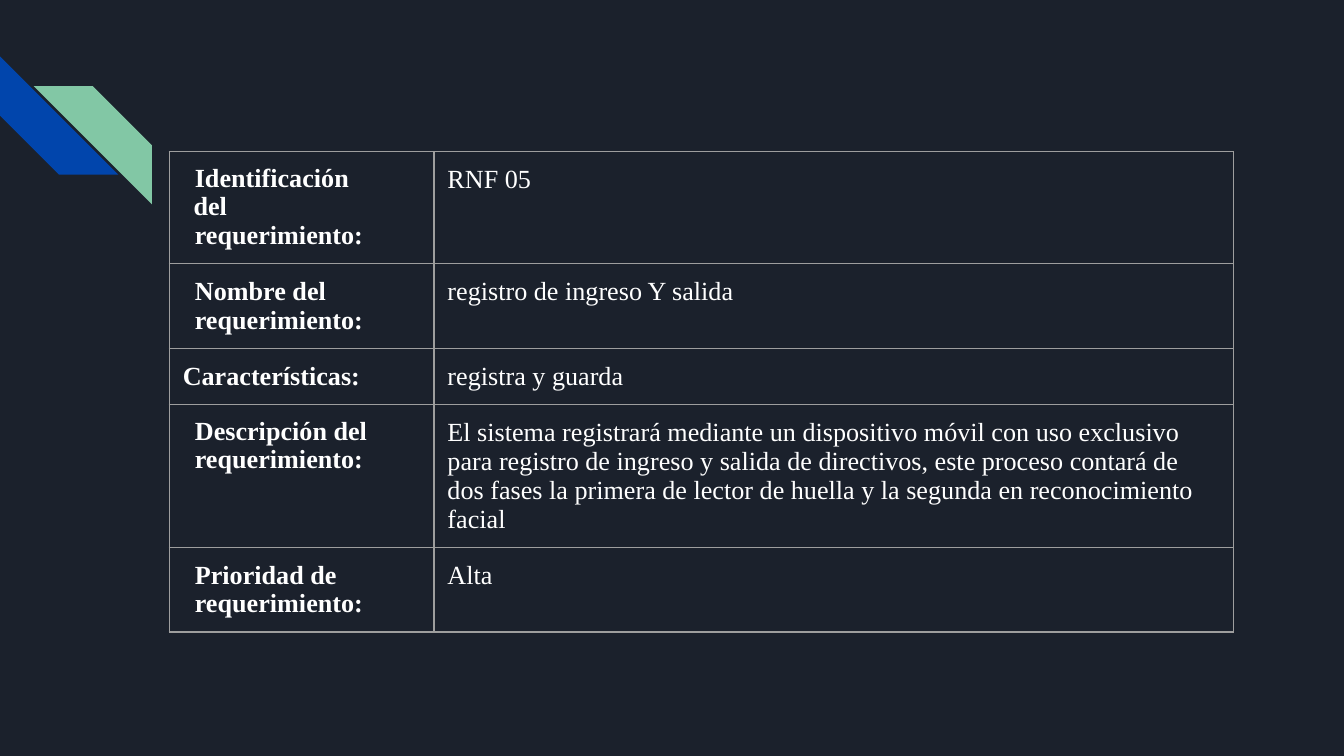
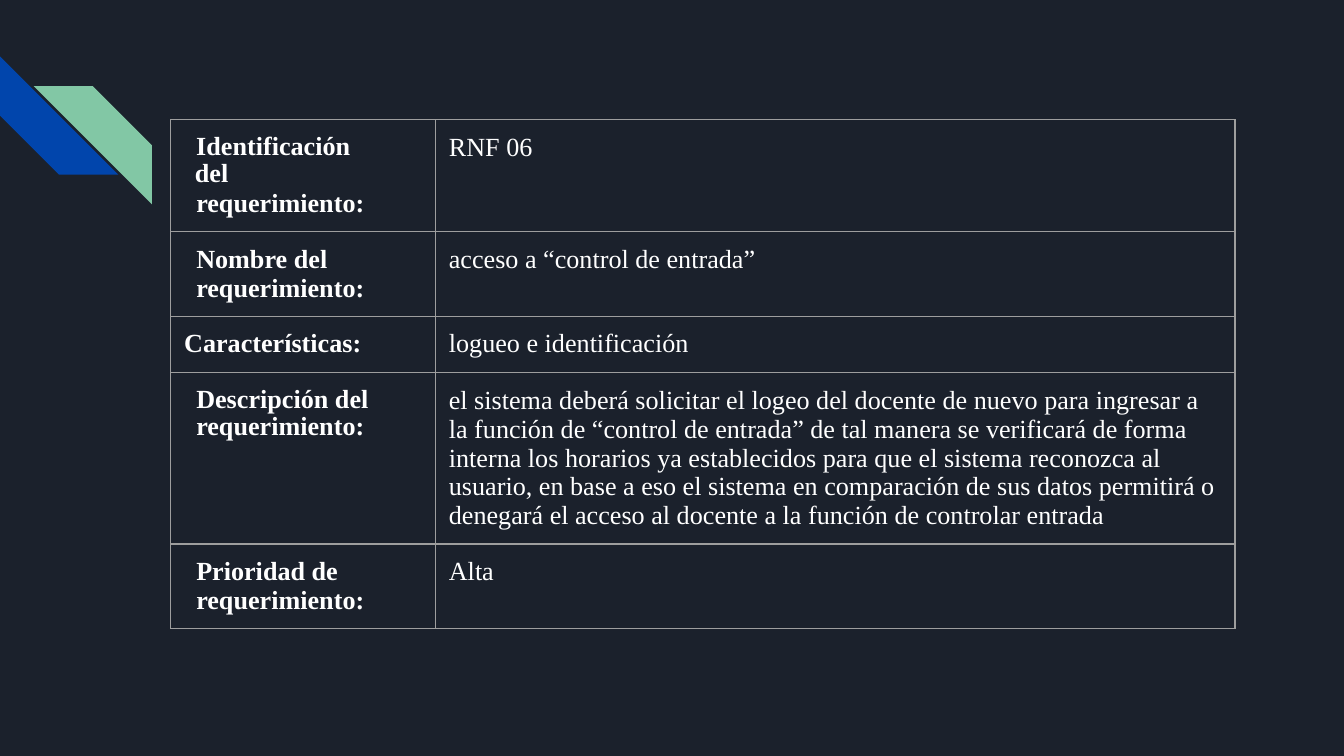
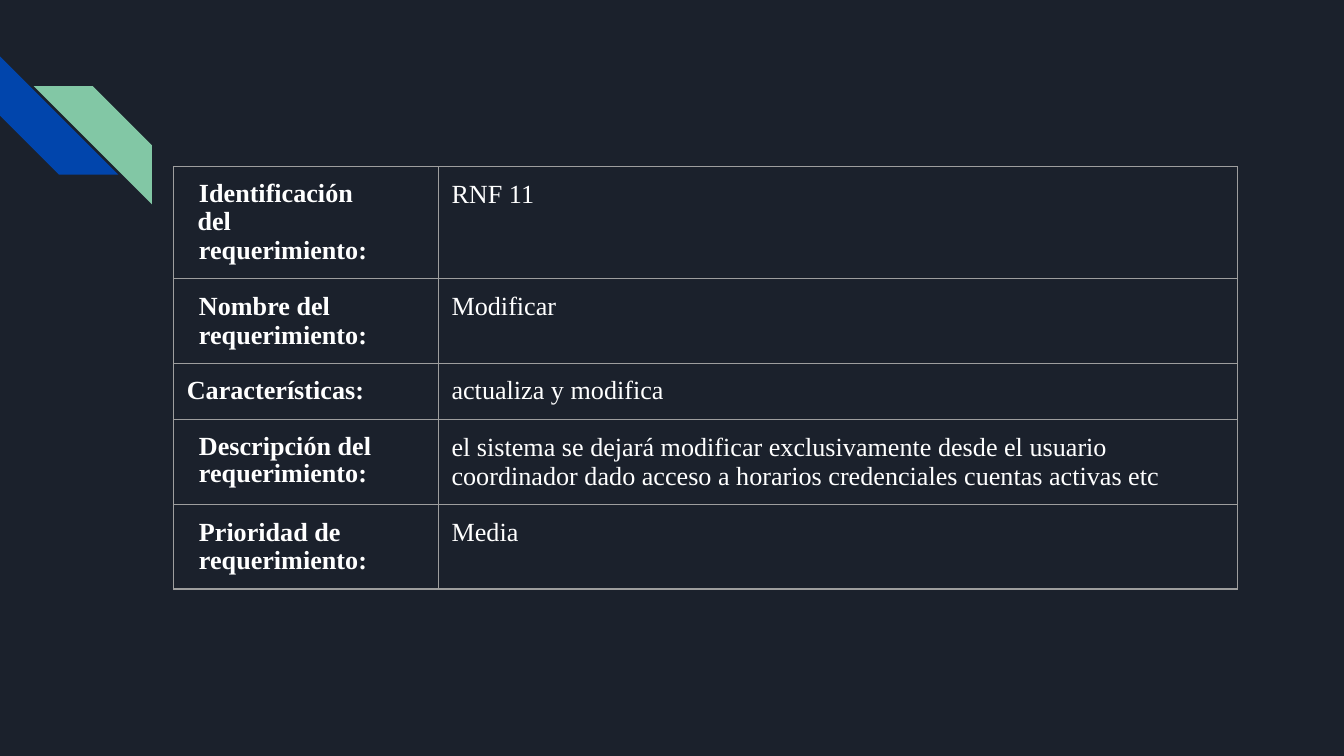
"""Builds three requirement sheets on a dark striped layout."""
from copy import deepcopy
from dataclasses import dataclass

from lxml import etree
from pptx import Presentation
from pptx import util as u
from pptx.dml import color
from pptx.enum import shapes
from pptx.oxml import ns

BACK, BLUE, GREEN = "1B212C", "0145AC", "82C7A5"
WHITE, GREY = "FFFFFF", "9E9E9E"
FONT, SIZE = "Times New Roman", 14
WIDE = u.Inches(10)
HIGH = WIDE * 9 // 16
COLS, ROW, PAD = (1.97, 5.95), 0.42, 0.1
SIDE = 0.88


@dataclass
class Stripe:
    left: float
    top: float
    fill: str
    turn: int = 0
    flip: bool = False


@dataclass
class Para:
    text: str
    left: float = 0.09
    first: float = 0
    lead: float | None = None
    before: float = 0


@dataclass
class Sheet:
    left: float
    top: float
    values: tuple[str, ...]


STRIPES = (
    Stripe(0, 0.42, BLUE, turn=270),
    Stripe(0.25, 0.64, GREEN, flip=True),
)

LABELS = (
    (Para("Identificación\vdel", 0.08, 0.01, 0.96), Para("requerimiento:", before=0.3)),
    (Para("Nombre del"), Para("requerimiento:")),
    (Para("Características:", 0),),
    (Para("Descripción del requerimiento:", lead=0.96),),
    (Para("Prioridad de"), Para("requerimiento:")),
)

SHEETS = (
    Sheet(1.26, 1.13, (
        "RNF 05",
        "registro de ingreso Y salida",
        "registra y guarda",
        "El sistema registrará mediante un dispositivo móvil con uso exclusivo "
        "para registro de ingreso y salida de directivos, este proceso contará de "
        "dos fases la primera de lector de huella y la segunda en reconocimiento facial",
        "Alta",
    )),
    Sheet(1.27, 0.89, (
        "RNF 06",
        "acceso a “control de entrada”",
        "logueo e identificación",
        "el sistema deberá solicitar el logeo del docente de nuevo para ingresar a "
        "la función de “control de entrada” de tal manera se verificará de forma "
        "interna los horarios ya establecidos para que el sistema reconozca al "
        "usuario, en base a eso el sistema en comparación de sus datos permitirá o "
        "denegará el acceso al docente a la función de controlar entrada",
        "Alta",
    )),
    Sheet(1.29, 1.24, (
        "RNF 11",
        "Modificar",
        "actualiza y modifica",
        "el sistema se dejará modificar exclusivamente desde el usuario "
        "coordinador dado acceso a horarios credenciales cuentas activas etc",
        "Media",
    )),
)


def paint(fill, tint: str) -> None:
    """Give a fill one solid colour."""
    fill.solid()
    fill.fore_color.rgb = color.RGBColor.from_string(tint)


def write(par, text: str, *, bold=False, left=0.0, first=0.0, lead=None, before=0.0) -> None:
    """Put formatted text into a paragraph."""
    par.text = text
    par.line_spacing = lead
    par.space_before = u.Pt(before)
    props = par._p.get_or_add_pPr()
    props.set("marL", str(u.Inches(left)))
    props.set("indent", str(u.Inches(first)))
    for run in par.runs:
        font = run.font
        font.name, font.size, font.bold = FONT, u.Pt(SIZE), bold
        paint(font.fill, WHITE)
    for gap in par._p.findall(ns.qn("a:br")):
        gap.insert(0, deepcopy(par.runs[0].font._element))


def frame(cell) -> None:
    """Clear the fill of a cell, pad it and rule its four sides."""
    cell.margin_left = cell.margin_right = u.Inches(PAD)
    cell.margin_top = cell.margin_bottom = u.Inches(PAD)
    cell.fill.background()
    props = cell._tc.get_or_add_tcPr()
    for spot, side in enumerate("LRTB"):
        line = etree.Element(ns.qn(f"a:ln{side}"), w=str(u.Pt(0.75)))
        solid = etree.SubElement(line, ns.qn("a:solidFill"))
        etree.SubElement(solid, ns.qn("a:srgbClr"), val=GREY)
        props.insert(spot, line)


def band(slide, layout, item: Stripe) -> None:
    """Draw a diagonal stripe and move it to the layout."""
    shape = slide.shapes.add_shape(
        shapes.MSO_SHAPE.DIAGONAL_STRIPE,
        u.Inches(item.left), u.Inches(item.top), u.Inches(SIDE), u.Inches(SIDE))
    shape.adjustments[0] = 0.5
    shape.rotation = item.turn
    shape.shadow.inherit = False
    paint(shape.fill, item.fill)
    shape.line.fill.background()
    if item.flip:
        shape.element.spPr.find(ns.qn("a:xfrm")).set("flipH", "1")
    layout.shapes.element.append(shape.element)


def grid(slide, sheet: Sheet) -> None:
    """Draw the requirement table of a sheet."""
    table = slide.shapes.add_table(
        len(LABELS), len(COLS), u.Inches(sheet.left), u.Inches(sheet.top),
        u.Inches(sum(COLS)), u.Inches(ROW * len(LABELS))).table
    table.first_row = table.horz_banding = False
    for col, width in zip(table.columns, COLS):
        col.width = u.Inches(width)
    for row, label, value in zip(table.rows, LABELS, sheet.values):
        row.height = u.Inches(ROW)
        head, body = row.cells
        for cell in (head, body):
            frame(cell)
        for spot, item in enumerate(label):
            pars = head.text_frame
            par = pars.add_paragraph() if spot else pars.paragraphs[0]
            write(par, item.text, bold=True, left=item.left, first=item.first,
                  lead=item.lead, before=item.before)
        write(body.text_frame.paragraphs[0], value)


def main() -> None:
    """Build and save the deck."""
    deck = Presentation()
    deck.slide_width, deck.slide_height = WIDE, HIGH
    paint(deck.slide_master.background.fill, BACK)
    layout = deck.slide_layouts.get_by_name("Blank")
    for holder in list(layout.placeholders):
        layout.shapes.element.remove(holder.element)
    pages = [deck.slides.add_slide(layout) for _ in SHEETS]
    for item in STRIPES:
        band(pages[0], layout, item)
    for spot, shape in enumerate(layout.shapes, 2):
        shape.element.nvSpPr.cNvPr.set("id", str(spot))
    for page, sheet in zip(pages, SHEETS):
        grid(page, sheet)
    deck.save("out.pptx")


if __name__ == "__main__":
    main()
